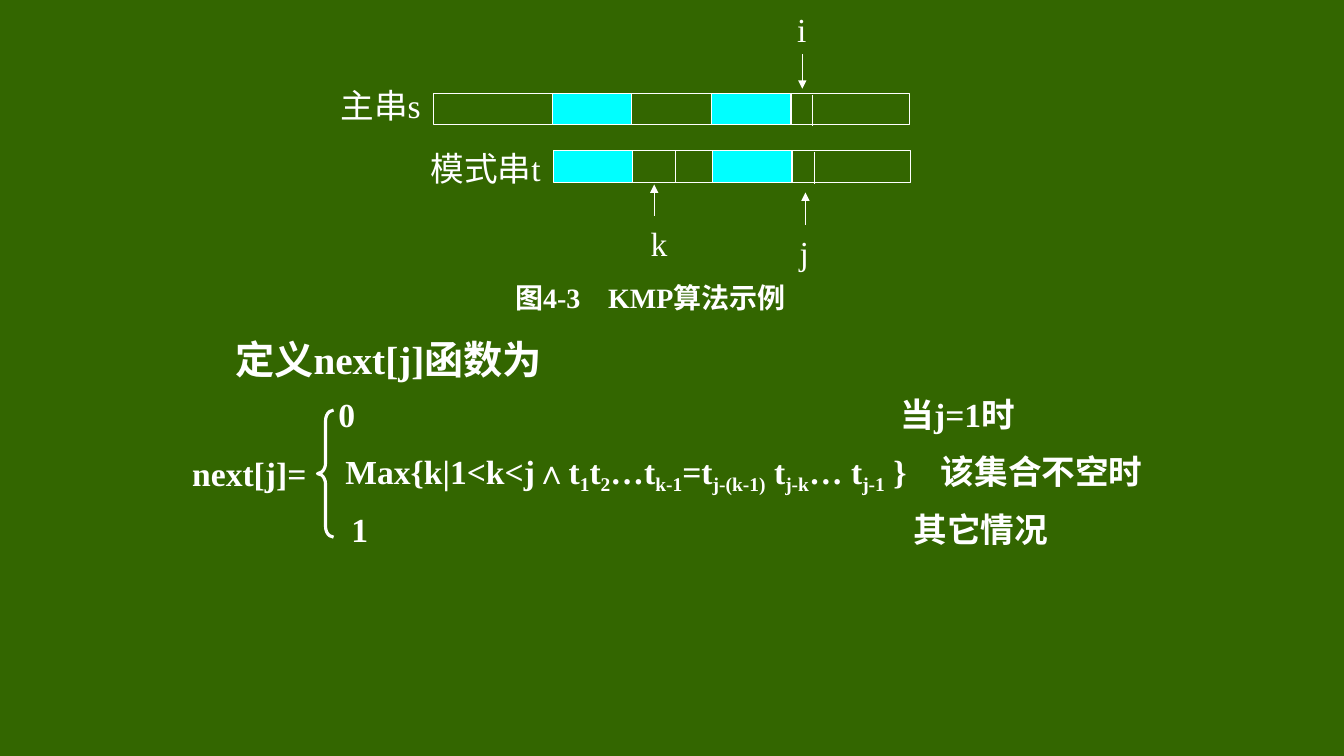
from dataclasses import dataclass

from lxml import etree
from pptx import Presentation
from pptx.dml.color import RGBColor
from pptx.enum import shapes as sh, text as tx
from pptx.oxml import ns
from pptx.util import Pt


@dataclass(frozen=True)
class Theme:
    """Colours, fonts and type sizes of the slide."""
    back: RGBColor = RGBColor(0x33, 0x66, 0x00)
    ink: RGBColor = RGBColor(0xFF, 0xFF, 0xFF)
    match: RGBColor = RGBColor(0x00, 0xFF, 0xFF)
    latin: str = "Times New Roman"
    asian: str = "Noto Sans CJK SC"
    head: int = 28
    body: int = 24
    small: int = 20
    thin: float = 0.75
    thick: float = 2.25


THEME = Theme()
LEFT, MID = tx.PP_ALIGN.LEFT, tx.PP_ALIGN.CENTER


def write(frame, runs, size, bold=False, align=LEFT):
    """Fill a text frame with one line; each run is text or (text, baseline)."""
    frame.margin_left = frame.margin_right = frame.margin_top = frame.margin_bottom = 0
    frame.word_wrap = False
    frame.auto_size = tx.MSO_AUTO_SIZE.NONE
    frame.vertical_anchor = tx.MSO_ANCHOR.MIDDLE
    line = frame.paragraphs[0]
    line.alignment = align
    for part in runs:
        words, base = part if isinstance(part, tuple) else (part, 0)
        run = line.add_run()
        run.text = words
        font = run.font
        font.name, font.size, font.bold = THEME.latin, Pt(size), bold
        font.color.rgb = THEME.ink
        props = run._r.get_or_add_rPr()
        etree.SubElement(props, ns.qn("a:ea"), typeface=THEME.asian)
        if base:
            props.set("baseline", str(base * 1000))


def label(slide, x, y, wide, *runs, size=THEME.body, bold=False, align=LEFT):
    """Add a text line whose vertical centre is y."""
    box = slide.shapes.add_textbox(Pt(x), Pt(y - 15), Pt(wide), Pt(30))
    write(box.text_frame, runs, size, bold, align)


def title(slide, x, y, wide, words):
    """Place and format the title, centred on y."""
    box = slide.shapes.title
    box.left, box.top, box.width, box.height = Pt(x), Pt(y - 20), Pt(wide), Pt(40)
    write(box.text_frame, [words], THEME.head, True)


def shape(slide, kind, x, y, wide, high, weight, fill=None):
    """Add an outlined preset shape, filled if a colour is given."""
    item = slide.shapes.add_shape(kind, Pt(x), Pt(y), Pt(wide), Pt(high))
    item.shadow.inherit = False
    item.line.color.rgb, item.line.width = THEME.ink, Pt(weight)
    if fill is None:
        item.fill.background()
    else:
        item.fill.solid()
        item.fill.fore_color.rgb = fill
    return item


def strip(slide, x, y, cells):
    """Add a row of touching cells, each given as (width, fill)."""
    for wide, fill in cells:
        shape(slide, sh.MSO_SHAPE.RECTANGLE, x, y, wide, 22.4, THEME.thin, fill)
        x += wide


def rule(slide, x, start, end, arrow=False):
    """Add a vertical line, with an arrowhead at its end if wanted."""
    item = slide.shapes.add_connector(
        sh.MSO_CONNECTOR.STRAIGHT, Pt(x), Pt(start), Pt(x), Pt(end))
    item.line.color.rgb, item.line.width = THEME.ink, Pt(THEME.thin)
    if arrow:
        etree.SubElement(item.line._get_or_add_ln(), ns.qn("a:tailEnd"), type="triangle")
    etree.SubElement(item._element.spPr, ns.qn("a:effectLst"))


def diagram(slide):
    """Draw the two strings, their pointers and the caption."""
    same, gap, end = (56.8, THEME.match), (56.8, None), (85, None)
    strip(slide, 309.6, 66.8, [end, same, gap, same, end])
    strip(slide, 395.3, 107.7, [same, gap, same, end])
    for x, top in ((580.3, 67.7), (482.2, 107.7), (581.6, 108.7)):
        rule(slide, x, top, top + 22.6)
    label(slide, 243.2, 75.2, 66, "主串s")
    label(slide, 307.6, 120, 88, "模式串t")
    for name, x, y, tip, start, end in (
            ("i", 572.8, 20.5, 573.1, 38.9, 63.4),
            ("k", 470.7, 173.5, 467.3, 154.1, 131.8),
            ("j", 574.5, 180.2, 575.3, 160.6, 137.5)):
        label(slide, x - 11, y, 22, name, align=MID)
        rule(slide, tip, start, end, True)
    label(slide, 367.9, 212.4, 56, "图4-3", size=THEME.small, bold=True)
    label(slide, 434.3, 212.4, 140, "KMP算法示例", size=THEME.small, bold=True)


def formula(slide):
    """Set the three cases of the next function beside a brace."""
    label(slide, 137.3, 338, 90, "next[j]=", bold=True)
    brace = shape(slide, sh.MSO_SHAPE.LEFT_BRACE, 226.8, 293, 11.5, 90.7, THEME.thick)
    brace.adjustments[0] = 0.66
    terms = ("Max{k|1<k<j∧t", ("1", -22), "t", ("2", -20), "…t", ("k-1", -20),
             "=t", ("j-(k-1)", -20), " t", ("j-k", -20), "… t", ("j-1", -20), " }")
    for y, x, value, right, when, rise in (
            (295.6, 241.7, ("0",), 643.2, "当j=1时", 0),
            (338, 246.7, terms, 672.1, "该集合不空时", 1.4),
            (377.6, 251, ("1",), 652.5, "其它情况", 0)):
        label(slide, x, y, 400 if value is terms else 20, *value, bold=True)
        label(slide, right, y - rise, 145, when, bold=True)


def main():
    """Build and save the slide."""
    deck = Presentation()
    deck.slide_width, deck.slide_height = Pt(960), Pt(540)
    slide = deck.slides.add_slide(deck.slide_layouts[5])
    slide.background.fill.solid()
    slide.background.fill.fore_color.rgb = THEME.back
    title(slide, 168, 256, 320, "定义next[j]函数为")
    diagram(slide)
    formula(slide)
    deck.save("out.pptx")


if __name__ == "__main__":
    main()
